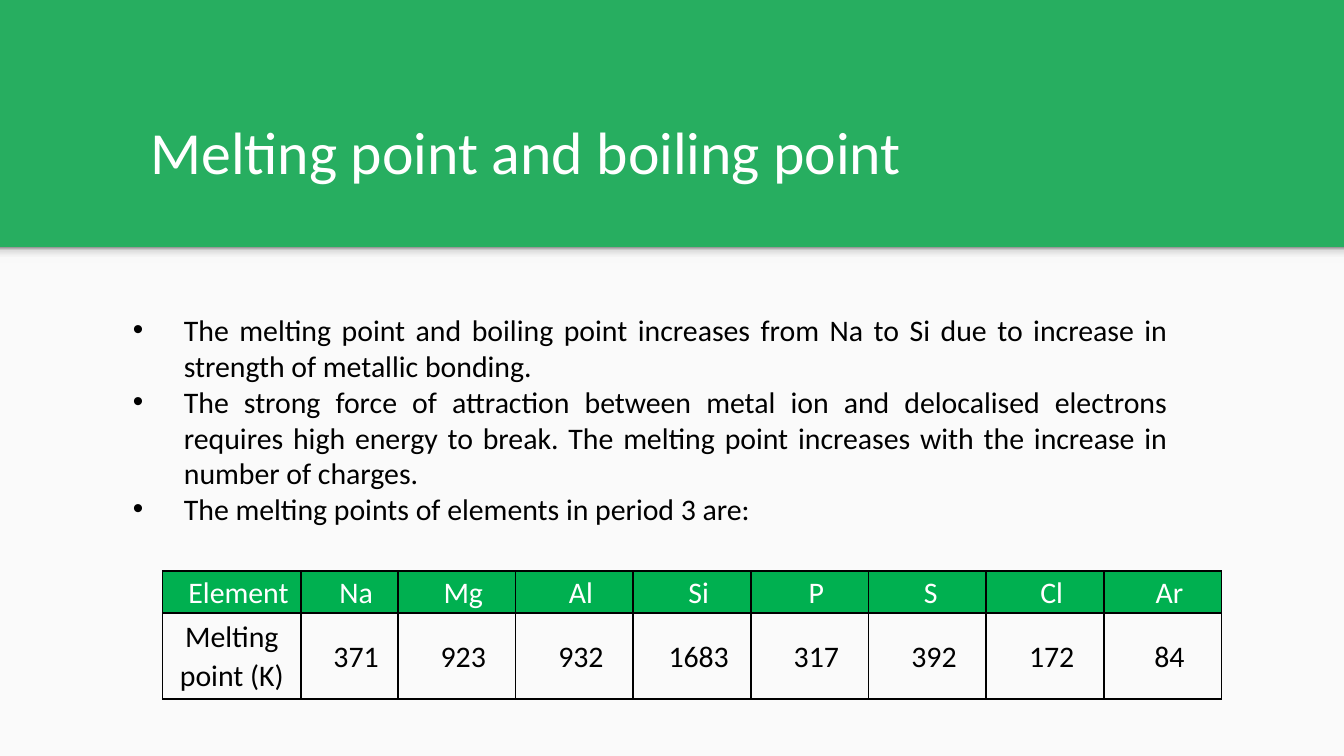
from dataclasses import dataclass

from lxml import etree
from pptx import Presentation
from pptx.dml.color import RGBColor
from pptx.enum.shapes import MSO_SHAPE
from pptx.enum.text import MSO_ANCHOR, PP_ALIGN
from pptx.oxml.ns import qn
from pptx.util import Inches, Pt


@dataclass(frozen=True)
class Theme:
    font: str = "Calibri"
    title_size: int = 32
    body_size: int = 16
    green: str = "27AE60"
    header_green: str = "00B050"
    paper: str = "FAFAFA"
    white: str = "FFFFFF"
    black: str = "000000"
    shadow_stops: tuple = ((0, "F9F9F9"), (36, "F9F9F9"), (80, "DEDEDE"), (100, "999999"))


THEME = Theme()
SLIDE_WIDTH = 10
SLIDE_HEIGHT = SLIDE_WIDTH * 9 / 16
BAND_HEIGHT = 1.84

BULLETS = (
    "The melting point and boiling point increases from Na to Si due to increase in "
    "strength of metallic bonding.",
    "The strong force of attraction between metal ion and delocalised electrons requires "
    "high energy to break. The melting point increases with the increase in number of charges.",
    "The melting points of elements in period 3 are:",
)
TABLE_ROWS = (
    ("Element", "Na", "Mg", "Al", "Si", "P", "S ", "Cl", "Ar"),
    ("Melting point (K)", "371", "923", "932", "1683", "317", "392", "172", "84"),
)
# The label and first element columns are fixed; the others share the rest
TABLE_WIDTH = 7.88
FIRST_WIDTHS = (1.03, 0.72)
EQUAL_COLUMNS = len(TABLE_ROWS[0]) - len(FIRST_WIDTHS)
COLUMN_WIDTHS = FIRST_WIDTHS + (
    (TABLE_WIDTH - sum(FIRST_WIDTHS)) / EQUAL_COLUMNS,
) * EQUAL_COLUMNS
ROW_HEIGHTS = (0.31, 0.64)


def rgb(color):
    return RGBColor.from_string(color)


def add_color(parent, color):
    etree.SubElement(parent, qn("a:srgbClr"), val=color)


def format_runs(paragraph, size, color):
    for run in paragraph.runs:
        run.font.name = THEME.font
        run.font.size = Pt(size)
        run.font.color.rgb = rgb(color)


def add_rectangle(slide, box):
    shape = slide.shapes.add_shape(MSO_SHAPE.RECTANGLE, *map(Inches, box))
    shape.shadow.inherit = False
    shape.line.fill.background()
    return shape


def add_text_frame(slide, box):
    text_frame = slide.shapes.add_textbox(*map(Inches, box)).text_frame
    text_frame.word_wrap = True
    text_frame.margin_left = text_frame.margin_right = Inches(0.1)
    text_frame.margin_top = text_frame.margin_bottom = Inches(0.1)
    return text_frame


def add_paper(slide, box):
    """Light content area with a soft shadow along its top edge."""
    left, top, width, _ = box
    paper = add_rectangle(slide, box)
    paper.fill.solid()
    paper.fill.fore_color.rgb = rgb(THEME.paper)

    shadow = add_rectangle(slide, (left, top, width, 0.12))
    shadow.fill.gradient()
    shadow.fill.gradient_angle = 90
    stop_list = shadow.element.spPr.find(".//" + qn("a:gsLst"))
    for stop in list(stop_list):
        stop_list.remove(stop)
    for position, color in THEME.shadow_stops:
        add_color(etree.SubElement(stop_list, qn("a:gs"), pos=str(position * 1000)), color)


def add_title(slide, box):
    text_frame = add_text_frame(slide, box)
    text_frame.vertical_anchor = MSO_ANCHOR.BOTTOM
    text_frame.text = "Melting point and boiling point"
    format_runs(text_frame.paragraphs[0], THEME.title_size, THEME.white)


def add_bullets(slide, box):
    text_frame = add_text_frame(slide, box)
    text_frame.text = "\n".join(BULLETS)
    for paragraph in text_frame.paragraphs:
        paragraph.alignment = PP_ALIGN.JUSTIFY
        properties = paragraph._p.get_or_add_pPr()
        properties.set("marL", str(Inches(0.5)))
        properties.set("indent", str(Inches(-0.38)))
        add_color(etree.SubElement(properties, qn("a:buClr")), THEME.black)
        etree.SubElement(properties, qn("a:buFont"), typeface="Arial")
        etree.SubElement(properties, qn("a:buChar"), char="•")
        format_runs(paragraph, THEME.body_size, THEME.black)


def add_borders(cell):
    properties = cell._tc.get_or_add_tcPr()
    for index, side in enumerate(("a:lnL", "a:lnR", "a:lnT", "a:lnB")):
        line = etree.Element(qn(side), w=str(Pt(1)))
        add_color(etree.SubElement(line, qn("a:solidFill")), THEME.black)
        properties.insert(index, line)


def format_cell(cell, is_header, indent):
    cell.vertical_anchor = MSO_ANCHOR.MIDDLE
    cell.margin_left = cell.margin_right = Inches(0.07)
    cell.margin_top = cell.margin_bottom = 0
    if is_header:
        cell.fill.solid()
        cell.fill.fore_color.rgb = rgb(THEME.header_green)
    else:
        cell.fill.background()
    add_borders(cell)
    paragraph = cell.text_frame.paragraphs[0]
    paragraph.alignment = PP_ALIGN.CENTER
    paragraph.line_spacing = 1.07
    paragraph._p.get_or_add_pPr().set("marL", str(Inches(indent)))
    format_runs(paragraph, THEME.body_size, THEME.white if is_header else THEME.black)


def add_melting_point_table(slide, box):
    table = slide.shapes.add_table(
        len(TABLE_ROWS), len(COLUMN_WIDTHS), *map(Inches, box)
    ).table
    for column, width in zip(table.columns, COLUMN_WIDTHS):
        column.width = Inches(width)
    for row, height in zip(table.rows, ROW_HEIGHTS):
        row.height = Inches(height)
    for row_index, texts in enumerate(TABLE_ROWS):
        is_header = row_index == 0
        for column_index, text in enumerate(texts):
            cell = table.cell(row_index, column_index)
            cell.text = text
            is_row_label = column_index == 0 and not is_header
            format_cell(cell, is_header, 0 if is_row_label else 0.1)


def main():
    presentation = Presentation()
    presentation.slide_width = Inches(SLIDE_WIDTH)
    presentation.slide_height = Inches(SLIDE_HEIGHT)
    slide = presentation.slides.add_slide(presentation.slide_layouts[6])

    # Green background shows as the title band above the paper
    slide.background.fill.solid()
    slide.background.fill.fore_color.rgb = rgb(THEME.green)
    add_paper(slide, (0, BAND_HEIGHT, SLIDE_WIDTH, SLIDE_HEIGHT - BAND_HEIGHT))

    # Content
    add_title(slide, (1.02, 0.65, 6.9, 0.84))
    add_bullets(slide, (0.77, 2.22, 8.02, 2.73))
    add_melting_point_table(slide, (1.21, 4.25, TABLE_WIDTH, sum(ROW_HEIGHTS)))

    presentation.save("out.pptx")


if __name__ == "__main__":
    main()
